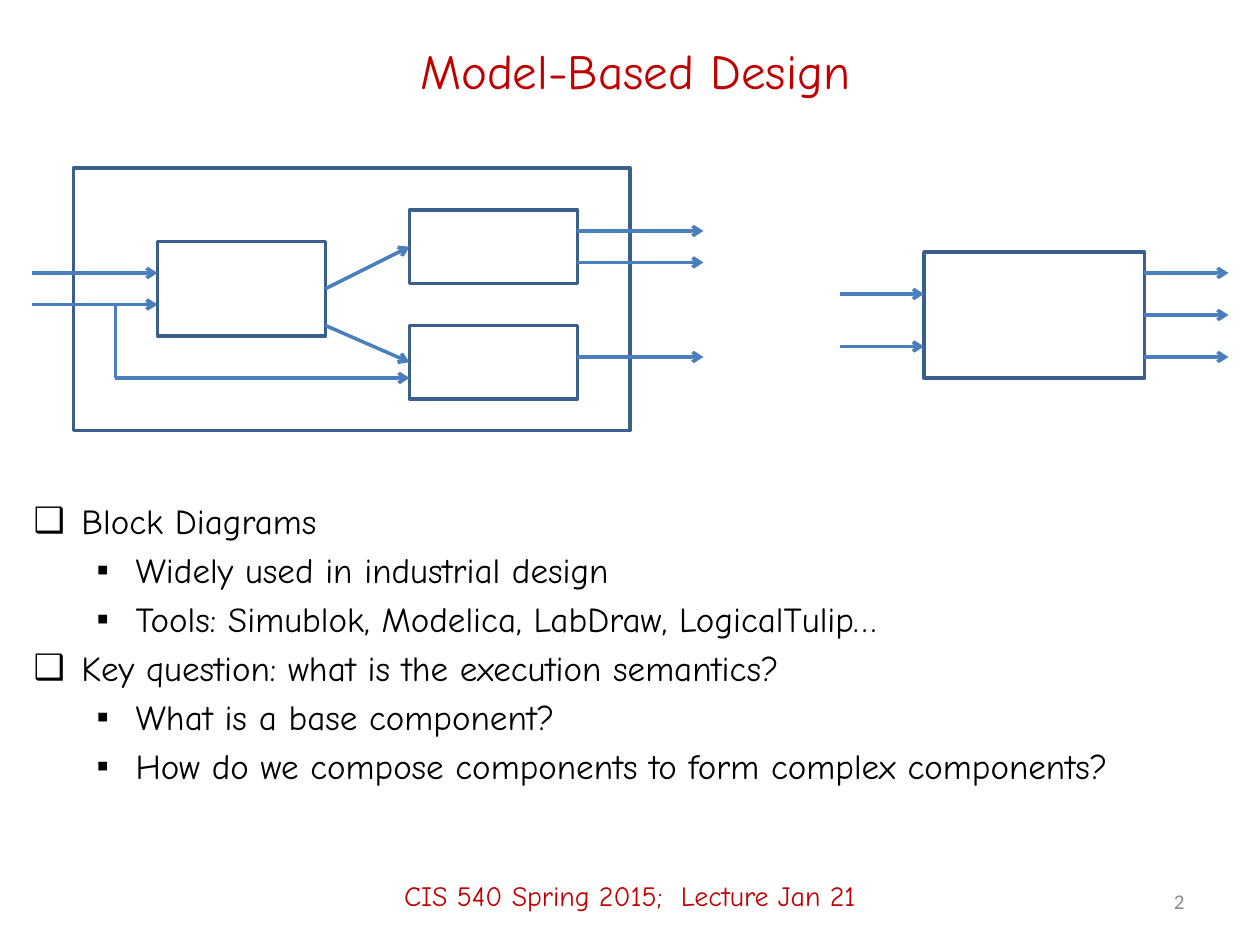
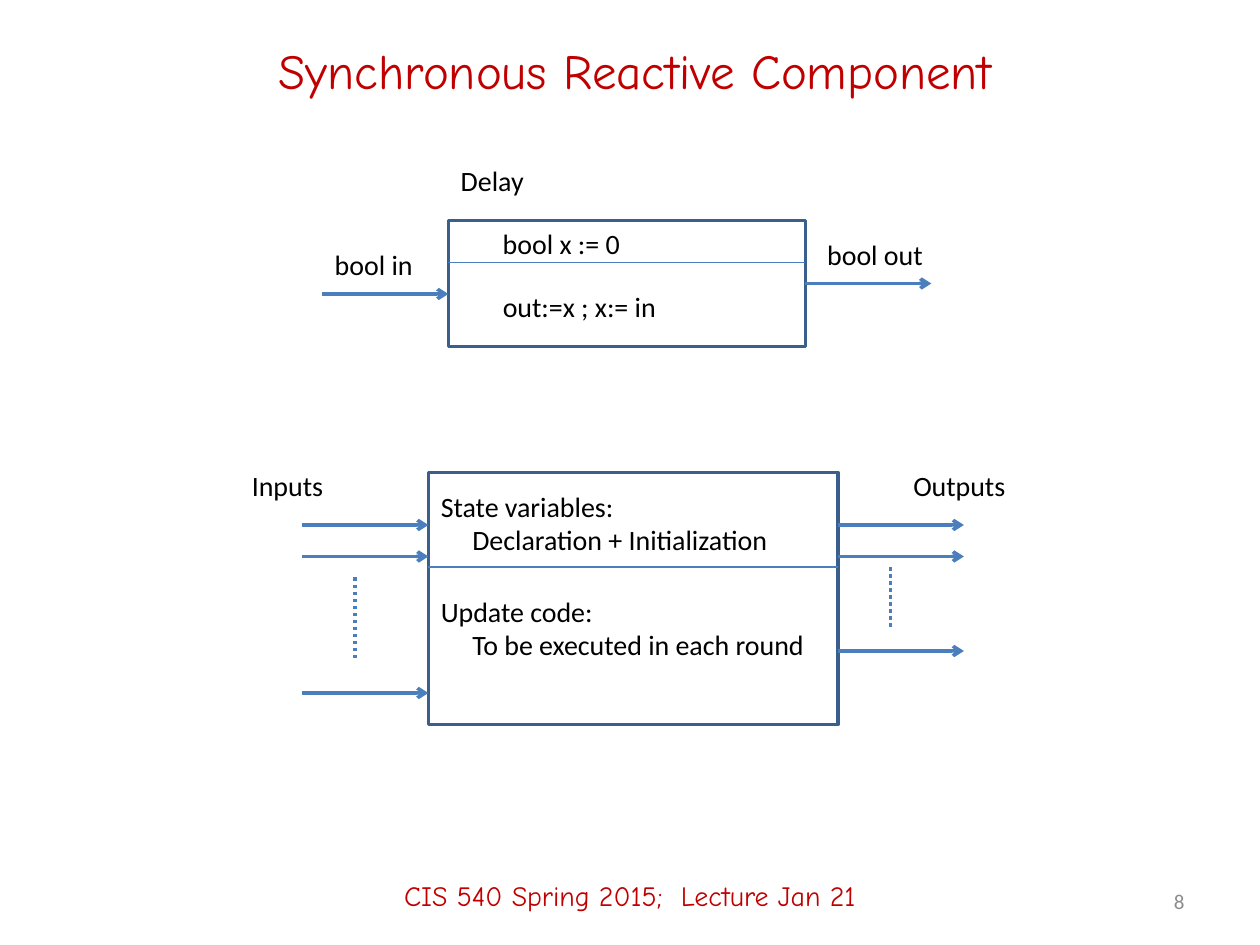
from dataclasses import dataclass

from lxml.etree import SubElement
from pptx import Presentation
from pptx.dml.color import RGBColor
from pptx.enum.dml import MSO_LINE
from pptx.enum.shapes import MSO_CONNECTOR, MSO_SHAPE
from pptx.enum.text import MSO_ANCHOR as Anchor, MSO_AUTO_SIZE as AutoSize, PP_ALIGN as Align
from pptx.oxml.ns import qn
from pptx.util import Inches, Pt

COLORS = {"accent": "C00000", "text": "000000", "number": "8C8C8C",
          "box": "3A5F8C", "line": "4B7EBC"}
HEAD_FONT, LABEL_FONT = "Comic Neue", "Calibri"
FOOTER = "CIS 540 Spring 2015;  Lecture Jan 21"

# Grid of 120 columns by 90 rows on a 10 by 7.5 inch slide
WIDTH, HEIGHT = Inches(10), Inches(7.5)
UNIT = WIDTH / 120
TOP, LEFT, BOTTOM, RIGHT = range(4)


@dataclass
class Box:
    name: str
    x: float
    y: float
    w: float
    h: float


@dataclass
class Wire:
    x1: float
    y1: float
    x2: float
    y2: float
    source: str = ""  # box whose right side's middle is the start
    target: str = ""  # box whose left side's middle is the end
    arrow: bool = True
    width: float = 2
    dotted: bool = False


@dataclass
class Label:
    x: float
    y: float
    w: float
    lines: list[str]


def grid(*cells: float) -> list[int]:
    return [round(c * UNIT) for c in cells]


def color(name: str) -> RGBColor:
    return RGBColor.from_string(COLORS[name])


def style_runs(tf, font: str, size: float, color_name: str) -> None:
    for p in tf.paragraphs:
        for r in p.runs:
            r.font.name, r.font.size = font, Pt(size)
            r.font.color.rgb = color(color_name)


def place(sp, x: float, y: float, w: float, h: float) -> None:
    sp.left, sp.top, sp.width, sp.height = grid(x, y, w, h)


def add_line_text(s, cells: tuple, text: str, align: Align,
                  font: str, size: float, color_name: str) -> None:
    tf = s.shapes.add_textbox(*grid(*cells)).text_frame
    tf.word_wrap = True
    tf.vertical_anchor = Anchor.MIDDLE
    tf.text = text
    tf.paragraphs[0].alignment = align
    style_runs(tf, font, size, color_name)


def add_slide(prs, layout: int, title: str, number: int):
    """Slide with the shared title, footer and number."""
    s = prs.slides.add_slide(prs.slide_layouts[layout])
    sp = s.shapes.title
    place(sp, 9, 2, 103, 9.4)
    tf = sp.text_frame
    tf.text = title
    tf.vertical_anchor = Anchor.MIDDLE
    tf.auto_size = AutoSize.NONE
    tf.paragraphs[0].alignment = Align.CENTER
    style_runs(tf, HEAD_FONT, 28, "accent")
    add_line_text(s, (0, 80.6, 120, 9.4), FOOTER, Align.CENTER, HEAD_FONT, 16, "accent")
    add_line_text(s, (86, 83.4, 28, 4.8), str(number), Align.RIGHT, LABEL_FONT, 12, "number")
    return s


def add_box(s, box: Box):
    sp = s.shapes.add_shape(MSO_SHAPE.RECTANGLE, *grid(box.x, box.y, box.w, box.h))
    sp.shadow.inherit = False
    sp.fill.background()
    sp.line.color.rgb = color("box")
    sp.line.width = Pt(2)
    return sp


def add_wire(s, wire: Wire, boxes: dict) -> None:
    c = s.shapes.add_connector(MSO_CONNECTOR.STRAIGHT,
                               *grid(wire.x1, wire.y1, wire.x2, wire.y2))
    if wire.source:
        c.begin_connect(boxes[wire.source], RIGHT)
    if wire.target:
        c.end_connect(boxes[wire.target], LEFT)
    c.line.color.rgb = color("line")
    c.line.width = Pt(wire.width)
    if wire.dotted:
        c.line.dash_style = MSO_LINE.ROUND_DOT
    if wire.arrow:
        SubElement(c.line._get_or_add_ln(), qn("a:tailEnd"), type="arrow")
    SubElement(c._element.spPr, qn("a:effectLst"))


def add_label(s, label: Label) -> None:
    """First line flush left, the following ones indented."""
    h = 1.24 + 3.2 * len(label.lines)
    tf = s.shapes.add_textbox(*grid(label.x, label.y, label.w, h)).text_frame
    tf.word_wrap = False
    tf.auto_size = AutoSize.SHAPE_TO_FIT_TEXT
    tf.text = "\n".join(label.lines)
    for p in tf.paragraphs[1:]:
        p._p.get_or_add_pPr().set("marL", str(Inches(0.25)))
    style_runs(tf, LABEL_FONT, 16, "text")


def add_diagram(s, boxes: list[Box], wires: list[Wire], labels: list[Label]) -> None:
    shapes = {b.name: add_box(s, b) for b in boxes}
    for wire in wires:
        add_wire(s, wire, shapes)
    for label in labels:
        add_label(s, label)


def fill_bullets(sp, items: list[tuple[int, str]]) -> None:
    styles = [("❑", 0.38, 0.38), ("▪", 0.81, 0.31)]  # mark, margin, hanging
    tf = sp.text_frame
    tf.text = "\n".join(text for _, text in items)
    tf.auto_size = AutoSize.NONE
    tf.paragraphs[0].space_before = Pt(0)
    for p, (level, _) in zip(tf.paragraphs, items):
        mark, margin, hanging = styles[level]
        p.level = level
        pPr = p._p.get_or_add_pPr()
        pPr.set("marL", str(Inches(margin)))
        pPr.set("indent", str(-Inches(hanging)))
        SubElement(pPr, qn("a:buChar"), char=mark)
    style_runs(tf, HEAD_FONT, 20, "text")


def build_block_diagrams(prs) -> None:
    s = add_slide(prs, 1, "Model-Based Design", 2)
    body = s.placeholders[1]
    place(body, 2, 47, 116, 32)
    fill_bullets(body, [
        (0, "Block Diagrams"),
        (1, "Widely used in industrial design"),
        (1, "Tools: Simublok, Modelica, LabDraw, LogicalTulip…"),
        (0, "Key question: what is the execution semantics?"),
        (1, "What is a base component?"),
        (1, "How do we compose components to form complex components?"),
    ])
    boxes = [
        Box("first", 15, 23, 16, 9),
        Box("upper", 39, 20, 16, 7),
        Box("lower", 39, 31, 16, 7),
        Box("single", 88, 24, 21, 12),
        Box("frame", 7, 16, 53, 25),
    ]
    wires = [
        Wire(31, 27.5, 39, 23.5, source="first", target="upper"),
        Wire(31, 31, 39, 34.5, target="lower"),
        # Second input also feeds the lower block
        Wire(11, 29, 11, 36, arrow=False),
        Wire(11, 36, 39, 36),
        Wire(109, 30, 117, 30, source="single"),
    ]
    wires += [Wire(3, y, 15, y) for y in (26, 29)]
    wires += [Wire(55, y, 67, y) for y in (22, 25, 34)]
    wires += [Wire(80, y, 88, y) for y in (28, 33)]
    wires += [Wire(109, y, 117, y) for y in (26, 34)]
    add_diagram(s, boxes, wires, [])


def build_reactive_component(prs) -> None:
    s = add_slide(prs, 5, "Synchronous Reactive Component", 8)

    # Delay example
    delay = Box("delay", 42.7, 21, 34, 12)
    x, right = delay.x, delay.x + delay.w
    add_diagram(s, [delay], [
        Wire(x - 12, 28, x, 28),
        Wire(right, 27, right + 12, 27, source="delay"),
        Wire(x, 25, right, 25, arrow=False, width=0.75),
    ], [
        Label(x, 15, 8.5, ["Delay"]),
        Label(x - 12, 23, 10, ["bool in"]),
        Label(x + 4, 21, 13.7, ["bool x := 0"]),
        Label(x + 4, 27, 17.2, ["out:=x ; x:= in"]),
        Label(right + 0.9, 22, 11.6, ["bool out"]),
    ])

    # General component
    general = Box("general", 40.8, 45, 39, 24)
    x, right = general.x, general.x + general.w
    wires = [
        Wire(x, 54, right, 54, arrow=False, width=0.75),
        Wire(x - 7, 55, x - 7, 63, arrow=False, dotted=True),
        Wire(right + 5, 54, right + 5, 60, arrow=False, dotted=True),
    ]
    wires += [Wire(x - 12, y, x, y) for y in (50, 53, 66)]
    wires += [Wire(right, y, right + 12, y) for y in (50, 53, 62)]
    add_diagram(s, [general], wires, [
        Label(x, 46, 34, ["State variables:", "Declaration + Initialization"]),
        Label(x, 56, 37.4, ["Update code:", "To be executed in each round"]),
        Label(x - 18, 44, 9.2, ["Inputs"]),
        Label(right + 6, 44, 11.3, ["Outputs"]),
    ])


def main() -> None:
    prs = Presentation()
    prs.slide_width, prs.slide_height = WIDTH, HEIGHT
    build_block_diagrams(prs)
    build_reactive_component(prs)
    prs.save("out.pptx")


if __name__ == "__main__":
    main()
